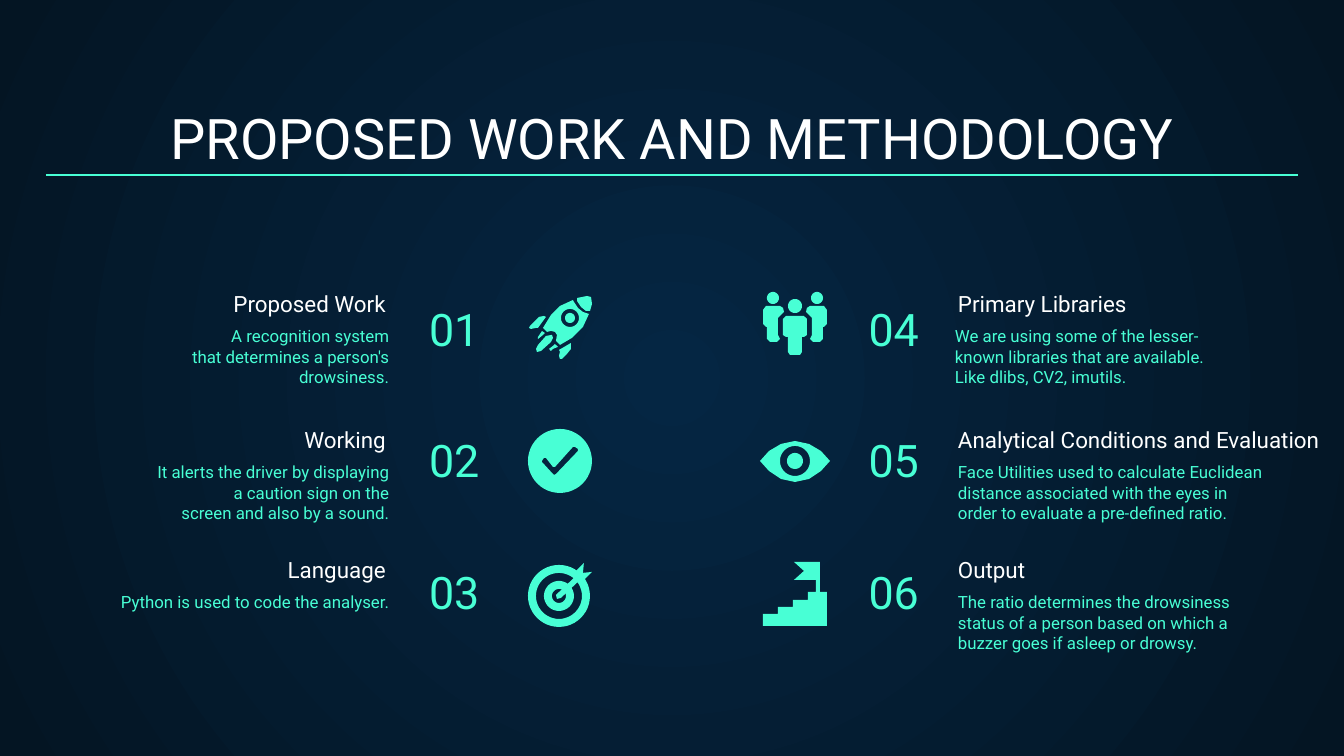
"""Build the proposed work and methodology slide."""
from math import cos, pi, sin

from lxml import etree
from pptx import Presentation
from pptx.dml.color import RGBColor
from pptx.enum.shapes import MSO_CONNECTOR
from pptx.enum.text import MSO_ANCHOR, MSO_AUTO_SIZE, PP_ALIGN
from pptx.oxml.ns import qn
from pptx.util import Pt

PX = 914400 / 134.4
LEFT, CENTER, RIGHT = PP_ALIGN.LEFT, PP_ALIGN.CENTER, PP_ALIGN.RIGHT
TOP, BOTTOM = MSO_ANCHOR.TOP, MSO_ANCHOR.BOTTOM
NO_FIT = MSO_AUTO_SIZE.NONE
STRAIGHT = MSO_CONNECTOR.STRAIGHT
color = RGBColor.from_string
MINT, WHITE = "48FFD5", "FFFFFF"


def fill_text(box, frame, text, size, hue, align, anchor):
    """Place a text shape and format its only paragraph."""
    box.left, box.top, box.width, box.height = [round(v * PX) for v in frame]
    body = box.text_frame
    body.auto_size = NO_FIT
    body.word_wrap = True
    body.vertical_anchor = anchor
    body.margin_left = body.margin_right = round(13 * PX)
    body.margin_top = body.margin_bottom = round(13 * PX)
    body.text = text
    para = body.paragraphs[0]
    para.alignment = align
    font = para.runs[0].font
    font.name, font.size, font.color.rgb = "Roboto", Pt(size), color(hue)
    return para


def draw_icon(page, contours):
    """Draw one filled outline; a plain triple of numbers is a circle."""
    builder = None
    for contour in contours:
        if isinstance(contour, tuple):
            x, y, radius = contour
            contour = [(x + radius * cos(step * pi / 24), y + radius * sin(step * pi / 24))
                       for step in range(48)]
        points = [(round(x * PX), round(y * PX)) for x, y in contour]
        if builder is None:
            builder = page.shapes.build_freeform(*points[0], scale=1.0)
        else:
            builder.move_to(*points[0])
        builder.add_line_segments(points[1:], close=True)
    icon = builder.convert_to_shape()
    icon.shadow.inherit = False
    icon.fill.solid()
    icon.fill.fore_color.rgb = color(MINT)
    icon.line.fill.background()


deck = Presentation()
deck.slide_width, deck.slide_height = round(1344 * PX), round(756 * PX)
page = deck.slides.add_slide(deck.slide_layouts[5])

backdrop = page.background.fill
backdrop.gradient()
for stop, hue, position in zip(backdrop.gradient_stops, ("052643", "041523"), (0, 1)):
    stop.color.rgb = color(hue)
    stop.position = position
gradient = page.element.find(".//" + qn("a:gradFill"))
gradient.remove(gradient.find(qn("a:lin")))
circle = etree.SubElement(gradient, qn("a:path"), path="circle")
etree.SubElement(circle, qn("a:fillToRect"), l="50000", t="50000", r="50000", b="50000")

fill_text(page.shapes.title, (46, 95, 1253, 89), "PROPOSED WORK AND METHODOLOGY",
          30, WHITE, CENTER, BOTTOM)

rows = [(302, 313, 280), (438, 449, 411), (568, 579, 543)]
steps = [
    ("Proposed Work", "A\u00a0recognition system that\u00a0determines\u00a0a person's drowsiness."),
    ("Working", "It\u00a0alerts the driver by displaying a\u00a0caution sign on the "
                "screen\u00a0and\u00a0also\u00a0by a sound."),
    ("Language", "Python is used to code\u00a0the analyser."),
    ("Primary Libraries", "We are using some\u00a0of the\u00a0lesser-known\u00a0libraries "
                          "that\u00a0are available. Like\u00a0dlibs, CV2,\u00a0imutils."),
    ("Analytical Conditions and Evaluation",
     "Face Utilities used to calculate\u00a0Euclidean distance\u00a0associated with "
     "the eyes in order to evaluate a pre-defined ratio."),
    ("Output", "The ratio determines the drowsiness status of a person based on "
               "which a buzzer goes if asleep or drowsy."),
]
for index, (heading, detail) in enumerate(steps):
    heading_top, detail_top, number_top = rows[index % 3]
    on_left = index < 3
    outer, inner = (RIGHT, LEFT) if on_left else (LEFT, RIGHT)
    heading_left, number_left = (94, 416) if on_left else (945, 759)
    detail_left, detail_width = (106, 296) if on_left else (945, 336)
    heading_width = 399 if index == 4 else 305
    indented = index == 3
    if indented:
        detail_left, detail_width = 874, 392
    texts = [
        ((detail_left, detail_top, detail_width, 74), detail, 9, MINT, outer, TOP),
        ((number_left, number_top, 173, 89), f"{index + 1:02}", 24, MINT, inner, BOTTOM),
        ((heading_left, heading_top, heading_width, 28), heading, 12, WHITE, outer, BOTTOM),
    ]
    paras = [fill_text(page.shapes.add_textbox(0, 0, 0, 0), *text) for text in texts]
    if indented:
        paras[0]._p.get_or_add_pPr().set("marL", str(round(68 * PX)))

rocket_parts = [
    [(542, 331), (538, 337), (538, 339), (543, 335), (545, 333)],
    [(555, 344), (553, 346), (549, 349), (551, 351), (553, 349), (558, 347)],
    [(551, 335), (546, 336), (538, 345), (536, 349), (537, 352), (541, 351),
     (551, 342), (553, 338), (552, 335)],
    [(544, 316), (539, 317), (535, 321), (530, 326), (529, 328), (531, 329),
     (536, 328), (538, 328), (546, 317)],
    [(571, 343), (559, 350), (560, 352), (559, 356), (560, 359), (562, 359),
     (567, 354), (571, 349)],
    (570, 318, 5),
    [(587, 296), (577, 298), (577, 301), (581, 307), (586, 311), (590, 311),
     (592, 304), (591, 297)],
]
rocket_body = [
    [(573, 300), (560, 306), (551, 315), (543, 328), (547, 332), (551, 331),
     (555, 332), (557, 335), (556, 341), (560, 345), (572, 338), (583, 327),
     (589, 314), (583, 312), (578, 308), (574, 302)],
    (570, 318, 9),
]
check = [
    (560, 461, 32),
    [(575, 447), (578, 449), (578, 451), (556, 474), (554, 475), (553, 474),
     (542, 462), (542, 461), (544, 458), (546, 458), (553, 467), (555, 467), (573, 447)],
]
target = [(559, 596, radius) for radius in (31, 23, 15, 7)]
arrow = [[(584, 563), (575, 572), (575, 577), (556, 595), (557, 599), (561, 598),
          (579, 581), (583, 581), (592, 572), (583, 573)]]
side_body = [(766, 306), (763, 310), (763, 324), (766, 327), (767, 327), (767, 339),
             (770, 342), (777, 342), (780, 339), (778, 335), (778, 318), (784, 312),
             (783, 308), (780, 306)]
middle_half = [(786, 316), (783, 319), (783, 335), (786, 337), (788, 337),
               (788, 352), (790, 355)]
people_parts = [
    (773, 298, 6), side_body,
    (817, 298, 6), [(1590 - x, y) for x, y in side_body],
    middle_half + [(1590 - x, y) for x, y in reversed(middle_half)], (795, 306, 7),
]
eye = [
    [(760, 461), (769, 451), (781, 444), (795, 441), (809, 444), (821, 451),
     (830, 461), (821, 471), (809, 479), (795, 482), (781, 479), (769, 471)],
    (795, 461, 15), (795, 461, 8),
]
stairs = [[(794, 562), (804, 571), (794, 580), (816, 580), (816, 592), (808, 592),
           (808, 600), (793, 600), (793, 607), (778, 607), (778, 614), (763, 614),
           (763, 626), (827, 626), (827, 592), (820, 592), (820, 562)]]
single_parts = [[part] for part in rocket_parts + people_parts]
for contours in [target, arrow, rocket_body, check, stairs, eye] + single_parts:
    draw_icon(page, contours)

ends = [round(v * PX) for v in (46, 175, 1298, 175)]
rule = page.shapes.add_connector(STRAIGHT, *ends)
rule.line.color.rgb = color(MINT)
rule.line.width = Pt(0.75)
etree.SubElement(rule._element.spPr, qn("a:effectLst"))

deck.save("out.pptx")
